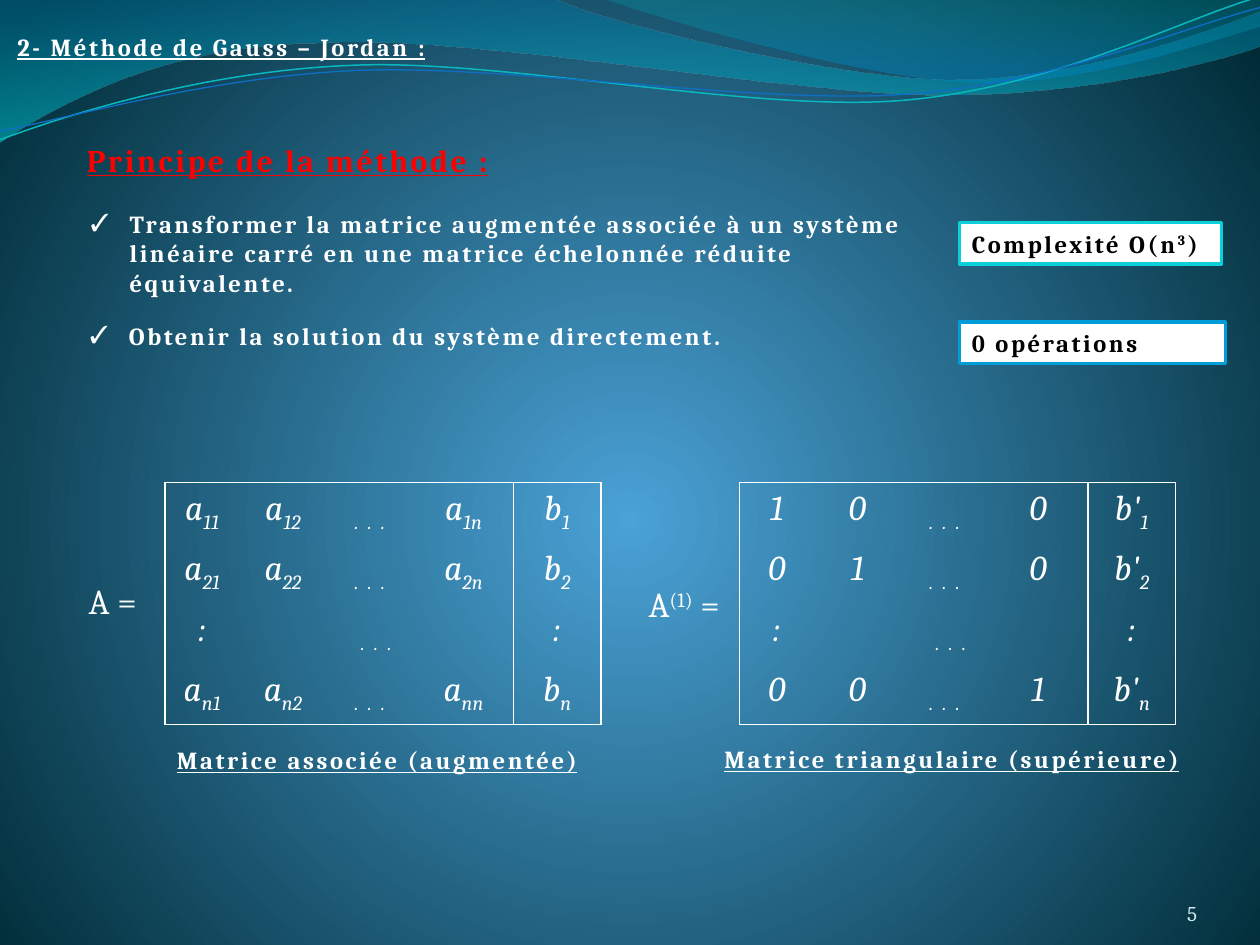
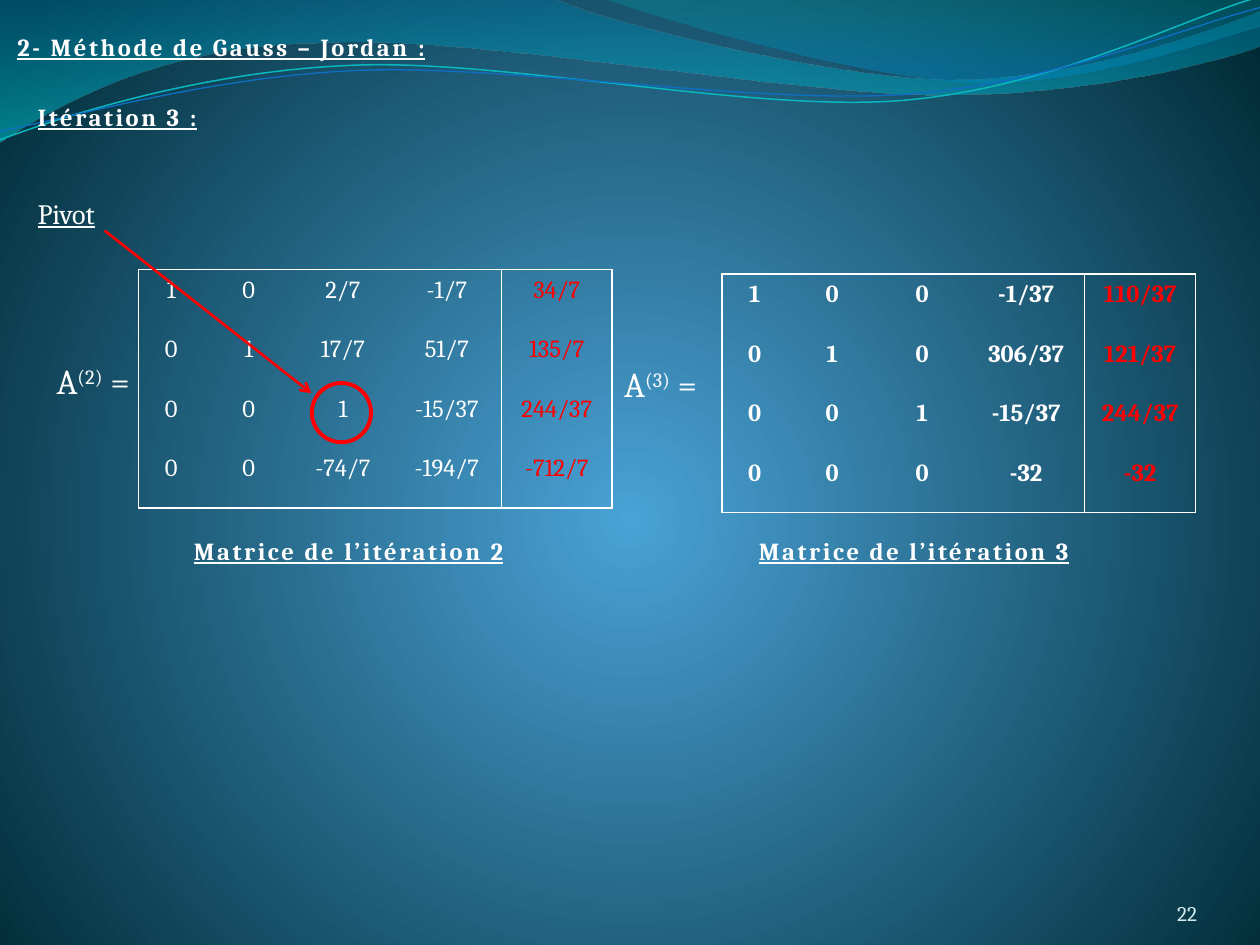
"""Builds two slides on the Gauss-Jordan method."""

from dataclasses import dataclass, replace
from typing import NamedTuple, Optional

from pptx import Presentation
from pptx.dml.color import RGBColor
from pptx.enum.shapes import MSO_CONNECTOR as CONN, MSO_SHAPE as SHAPE
from pptx.enum.text import MSO_ANCHOR as ANCHOR, MSO_AUTO_SIZE as AUTO, PP_ALIGN as ALIGN
from pptx.oxml import parse_xml
from pptx.oxml.ns import nsdecls, qn
from pptx.util import Emu, Inches, Pt

COLS, ROWS = 100, 75
WIDTH, HEIGHT = Inches(10), Inches(7.5)
FIRST_WAVE_ID = 101


@dataclass(frozen=True)
class Theme:
    """Colours, font and type sizes shared by the slides."""

    font: str = "Cambria"
    white: str = "FFFFFF"
    black: str = "000000"
    red: str = "FF0000"
    number: str = "D1EAED"
    cyan: str = "0BD0D9"
    blue: str = "009DD9"
    glow: str = "4AA2D6"
    night: str = "002B36"
    body: int = 14
    small: int = 12
    label: int = 16
    title: int = 18
    math: int = 20
    tracking: float = 1.47
    rule: float = 0.96


T = Theme()


@dataclass(frozen=True)
class Style:
    """Look of a text run."""

    size: int = T.body
    color: str = T.white
    bold: bool = False
    italic: bool = False
    underline: bool = False
    tracking: float = 0


BODY = Style(bold=True, tracking=T.tracking)
HEADING = replace(BODY, underline=True)
TITLE = replace(HEADING, size=T.title, color=T.red)
BOXED = replace(BODY, color=T.black)
MATH = Style(size=T.math)
ENTRY = replace(MATH, italic=True)
VALUE = Style()
POINTER = Style(size=T.label, underline=True)
NUMBER = Style(size=T.small, color=T.number)


class Box(NamedTuple):
    """Place on the grid: left, top, width and height."""

    x: float
    y: float
    w: float
    h: float


class Stop(NamedTuple):
    """Gradient stop, in percent."""

    pos: int
    color: str
    alpha: int = 100


class Wave(NamedTuple):
    """Curved band or line; a segment of 2 numbers is straight, of 6 is cubic."""

    start: tuple[float, float]
    segments: list[tuple[float, ...]]
    stops: tuple[Stop, ...] = ()
    angle: int = 0
    color: str = ""
    width: float = 0


class Matrix(NamedTuple):
    """Matrix table; entries are split by spaces and "..." stands for dots."""

    x: float
    y: float
    widths: list[float]
    row_height: float
    rows: list[str]
    style: Style
    last_color: str = T.white


WAVES = [
    Wave((0, 0), [(44, -.1), (47.6, 1.7, 66.4, 6.3, 75.8, 6.3), (85.3, 6.3, 95.8, 2.6, 100, .9),
                  (100.1, 3.6), (98.3, 4.4, 87, 7.6, 74.6, 7.5), (62.2, 7.5, 38.2, 2.8, 25.7, 3.4),
                  (12.9, 3.5, 4.6, 8.3, -.1, 11.3)],
         (Stop(0, "0074A0", 45), Stop(100, "00C4CD", 55)), 90),
    Wave((47.9, -.1), [(50.9, 1.1, 68.2, 6.2, 76.9, 6.5), (85.6, 6.9, 96.1, 3.2, 100, 2.1), (100, 0)],
         (Stop(20, "008ABF", 45), Stop(100, "00A0A8", 30)), 270),
    Wave((0, 11.1), [(4.8, 9.3, 15.8, 5.7, 27.7, 5.2), (39.5, 4.6, 59.3, 8.9, 71.3, 8),
                     (83.3, 7.1, 93.8, 1.5, 99.8, -.2)], color="09B7BF", width=.85),
    Wave((0, 10.4), [(4.7, 9.6, 16.4, 6.1, 28.3, 5.6), (40.3, 5.1, 59.7, 8.3, 71.7, 7.5),
                     (83.6, 6.7, 94.1, 2.1, 100, .6)], color="0F6FC6", width=.75),
]


def col(n: float) -> Emu:
    """Turn grid columns into a length."""
    return Emu(round(WIDTH * n / COLS))


def row(n: float) -> Emu:
    """Turn grid rows into a length."""
    return Emu(round(HEIGHT * n / ROWS))


def place(b: Box) -> tuple[Emu, Emu, Emu, Emu]:
    """Turn a grid box into lengths."""
    return col(b.x), row(b.y), col(b.w), row(b.h)


def rgb(color: str) -> RGBColor:
    """Shorten the colour conversion."""
    return RGBColor.from_string(color)


def set_line(s, color: str, width: float) -> None:
    """Give a shape or connector a plain line."""
    s.line.color.rgb = rgb(color)
    s.line.width = Pt(width)


def set_gradient(fill, parent, stops: tuple[Stop, ...], shading: str) -> None:
    """Fill with a gradient of the given shading element."""
    fill.solid()
    marks = "".join(f'<a:gs pos="{g.pos * 1000}"><a:srgbClr val="{g.color}">'
                    f'<a:alpha val="{g.alpha * 1000}"/></a:srgbClr></a:gs>' for g in stops)
    xml = f'<a:gradFill {nsdecls("a")} rotWithShape="1"><a:gsLst>{marks}</a:gsLst>{shading}</a:gradFill>'
    parent.replace(parent.find(qn("a:solidFill")), parse_xml(xml))


def set_background(master) -> None:
    """Give all slides the round glow."""
    fill = master.background.fill
    fill.solid()
    shading = '<a:path path="circle"><a:fillToRect l="50000" t="55000" r="50000" b="45000"/></a:path>'
    parent = master.element.find(".//" + qn("p:bgPr"))
    set_gradient(fill, parent, (Stop(0, T.glow), Stop(100, T.night)), shading)


def bend(s, wave: Wave) -> None:
    """Turn the straight sides of a freeform into the wave's cubic ones."""
    sides = s.element.findall(".//" + qn("a:lnTo"))
    for side, seg in zip(sides, wave.segments):
        if len(seg) == 6:
            pts = "".join(f'<a:pt x="{col(x) - s.left}" y="{row(y) - s.top}"/>'
                          for x, y in zip(seg[::2], seg[1::2]))
            curve = parse_xml(f'<a:cubicBezTo {nsdecls("a")}>{pts}</a:cubicBezTo>')
            side.getparent().replace(side, curve)


def add_wave(slide, wave: Wave):
    """Draw one wave of the top band."""
    fb = slide.shapes.build_freeform(col(wave.start[0]), row(wave.start[1]))
    fb.add_line_segments([(col(seg[-2]), row(seg[-1])) for seg in wave.segments], close=bool(wave.stops))
    s = fb.convert_to_shape()
    bend(s, wave)
    s.shadow.inherit = False
    if wave.stops:
        shading = f'<a:lin ang="{wave.angle * 60000}" scaled="0"/>'
        set_gradient(s.fill, s.element.spPr, wave.stops, shading)
        s.line.fill.background()
    else:
        s.fill.background()
        set_line(s, wave.color, wave.width)
    return s


def add_band(slide, master) -> None:
    """Draw the waves and hand them to the master, for all slides."""
    for i, wave in enumerate(WAVES, FIRST_WAVE_ID):
        sp = add_wave(slide, wave).element
        sp.nvSpPr.cNvPr.set("id", str(i))
        master.shapes.element.append(sp)


def add_runs(p, text: str, style: Style) -> None:
    """Add runs split by "|"; "^" raises a run and "_" lowers it."""
    for piece in text.split("|"):
        r = p.add_run()
        r.text = piece.lstrip("^_")
        f = r.font
        f.name, f.size, f.color.rgb = T.font, Pt(style.size), rgb(style.color)
        f.bold, f.italic, f.underline = style.bold, style.italic, style.underline
        rpr = r._r.get_or_add_rPr()
        if style.tracking:
            rpr.set("spc", str(round(style.tracking * 100)))
        shift = {"^": 30, "_": -25}.get(piece[:1])
        if shift:
            rpr.set("baseline", str(shift * 1000))


def add_text(slide, box: Box, text: str, style: Style, bullet: str = "", frame: str = "") -> None:
    """Add a text box, or a framed white rectangle, that grows with its text."""
    if frame:
        s = slide.shapes.add_shape(SHAPE.RECTANGLE, *place(box))
        s.shadow.inherit = False
        s.fill.solid()
        s.fill.fore_color.rgb = rgb(T.white)
        set_line(s, frame, 2)
    else:
        s = slide.shapes.add_textbox(*place(box))
    tf = s.text_frame
    tf.word_wrap, tf.auto_size, tf.vertical_anchor = True, AUTO.SHAPE_TO_FIT_TEXT, ANCHOR.TOP
    p = tf.paragraphs[0]
    p.alignment = ALIGN.LEFT
    if bullet:
        ppr = p._p.get_or_add_pPr()
        ppr.set("marL", str(col(3.1)))
        ppr.set("indent", str(-col(3.1)))
        for mark in (f'buClr {nsdecls("a")}><a:srgbClr val="{T.white}"/></a:buClr>',
                     f'buFont {nsdecls("a")} typeface="{T.font}"/>', f'buChar {nsdecls("a")} char="{bullet}"/>'):
            ppr.append(parse_xml("<a:" + mark))
    add_runs(p, text, style)


def add_number(slide, number: int) -> None:
    """Add the page number at bottom right."""
    tf = slide.shapes.add_textbox(*place(Box(86.7, 69.5, 8.3, 4))).text_frame
    tf.margin_left = tf.margin_right = tf.margin_top = tf.margin_bottom = 0
    tf.word_wrap, tf.vertical_anchor = True, ANCHOR.BOTTOM
    p = tf.paragraphs[0]
    p.alignment = ALIGN.RIGHT
    add_runs(p, str(number), NUMBER)


def set_borders(cell, **shown: bool) -> None:
    """Show or hide each side of a cell."""
    tcpr = cell._tc.get_or_add_tcPr()
    for side, on in shown.items():
        fill = f'<a:solidFill><a:srgbClr val="{T.white}"/></a:solidFill>' if on else "<a:noFill/>"
        tcpr.append(parse_xml(f'<a:ln{side} {nsdecls("a")} w="{Pt(T.rule)}">{fill}</a:ln{side}>'))
    cell.fill.background()


def add_matrix(slide, m: Matrix) -> None:
    """Draw an augmented matrix with its last column ruled off."""
    n, last = len(m.rows), len(m.widths) - 1
    box = Box(m.x, m.y, sum(m.widths), n * m.row_height)
    table = slide.shapes.add_table(n, last + 1, *place(box)).table
    table.first_row = table.horz_banding = False
    for c, width in enumerate(m.widths):
        table.columns[c].width = col(width)
    for i, line in enumerate(m.rows):
        table.rows[i].height = row(m.row_height)
        entries = line.split()
        if len(entries) == 3:
            table.cell(i, 1).merge(table.cell(i, last - 1))
            entries[2:2] = [""] * (last - 2)
        for c, entry in enumerate(entries):
            cell = table.cell(i, c)
            end = c + cell.span_width - 1 if cell.is_merge_origin else c
            set_borders(cell, L=c in (0, last), R=end in (last - 1, last), T=i == 0, B=i == n - 1)
            if not entry:
                continue
            p = cell.text_frame.paragraphs[0]
            p.alignment = ALIGN.CENTER
            if entry == "...":
                add_runs(p, "_. . .", replace(m.style, tracking=T.tracking))
            else:
                add_runs(p, entry, replace(m.style, color=m.last_color) if c == last else m.style)


def add_pivot(slide, ring: Box, start: tuple[float, float], end: tuple[float, float]) -> None:
    """Circle the pivot and point an arrow at it."""
    s = slide.shapes.add_shape(SHAPE.OVAL, *place(ring))
    s.shadow.inherit = False
    s.fill.background()
    set_line(s, T.red, 2.25)
    s = slide.shapes.add_connector(CONN.STRAIGHT, col(start[0]), row(start[1]), col(end[0]), row(end[1]))
    set_line(s, T.red, 1.5)
    s.line._get_or_add_ln().append(parse_xml(f'<a:tailEnd {nsdecls("a")} type="arrow"/>'))
    s._element.spPr.append(parse_xml(f'<a:effectLst {nsdecls("a")}/>'))


def new_slide(prs, number: int, subtitle: Optional[tuple[Box, str, Style]] = None):
    """Start a slide with section title, subtitle and number."""
    slide = prs.slides.add_slide(prs.slide_layouts[6])
    add_text(slide, Box(.4, 2.05, 36.8, 3.3), "2- Méthode de Gauss – Jordan :", HEADING)
    if subtitle:
        add_text(slide, *subtitle)
    add_number(slide, number)
    return slide


def build_principle(prs) -> None:
    """Slide on the principle of the method."""
    slide = new_slide(prs, 5, (Box(5.9, 10.7, 40.2, 4), "Principe de la méthode :", TITLE))
    add_band(slide, prs.slide_master)
    add_text(slide, Box(6.2, 16.1, 67.1, 8.1), "Transformer la matrice augmentée associée à un système "
             "linéaire carré en une matrice échelonnée réduite équivalente.", BODY, bullet="✓")
    add_text(slide, Box(6.15, 25, 60.4, 3.3), "Obtenir la solution du système directement.", BODY, bullet="✓")
    add_text(slide, Box(76.15, 17.65, 20.8, 3.3), "Complexité O(n|^3|)", BOXED, frame=T.cyan)
    add_text(slide, Box(76.15, 25.55, 21.1, 3.3), "0 opérations", BOXED, frame=T.blue)
    add_text(slide, Box(6.05, 45.5, 7, 4.3), "A =", MATH)
    add_text(slide, Box(50.5, 45.75, 8.2, 4.3), "A|^(1)| =", MATH)
    widths = [5.9, 6.92, 6.92, 7.92, 6.94]
    general = [f"a|_{i}1 a|_{i}2 ... a|_{i}n b|_{i}" for i in "12n"]
    reduced = [f"{d} ... {e} b'|_{i}" for d, e, i in (("1 0", 0, 1), ("0 1", 0, 2), ("0 0", 1, "n"))]
    for x, rows in ((13.1, general), (58.7, reduced)):
        rows.insert(2, ": ... :")
        add_matrix(slide, Matrix(x, 38.3, widths, 4.8, rows, ENTRY))
    add_text(slide, Box(13.05, 58.65, 34.9, 3.3), "Matrice associée (augmentée)", HEADING)
    add_text(slide, Box(56.5, 58.6, 39.6, 3.3), "Matrice triangulaire (supérieure)", HEADING)


def build_iteration(prs) -> None:
    """Slide on the third iteration."""
    slide = new_slide(prs, 22, (Box(2, 7.6, 21.2, 3.3), "Itération 3 :", HEADING))
    before = ["1 0 2/7 -1/7 34/7", "0 1 17/7 51/7 135/7", "0 0 1 -15/37 244/37", "0 0 -74/7 -194/7 -712/7"]
    after = ["1 0 0 -1/37 110/37", "0 1 0 306/37 121/37", "0 0 1 -15/37 244/37", "0 0 0 -32 -32"]
    add_matrix(slide, Matrix(11, 21.4, [5.2, 7.1, 7.85, 8.65, 8.8], 4.73, before, VALUE, T.red))
    add_matrix(slide, Matrix(57.3, 21.75, [5.2, 7.1, 7.2, 9.3, 8.8], 4.73, after, replace(VALUE, bold=True), T.red))
    add_text(slide, Box(2, 15.1, 9.1, 3.6), "Pivot", POINTER)
    add_pivot(slide, Box(24.75, 30.4, 4.7, 4.7), (8.3, 18.3), (24.7, 31.2))
    for k, label, x in ((2, Box(3.5, 28.05, 8.5, 4.4), 14.4), (3, Box(48.55, 28.3, 9, 4.4), 59.25)):
        add_text(slide, label, f"A|^({k})| =", MATH)
        add_text(slide, Box(x, 42.05, 27.7, 3.3), f"Matrice de l’itération {k}", HEADING)


def main() -> None:
    """Build and save the slides."""
    prs = Presentation()
    prs.slide_width, prs.slide_height = WIDTH, HEIGHT
    set_background(prs.slide_master)
    build_principle(prs)
    build_iteration(prs)
    prs.save("out.pptx")


if __name__ == "__main__":
    main()
